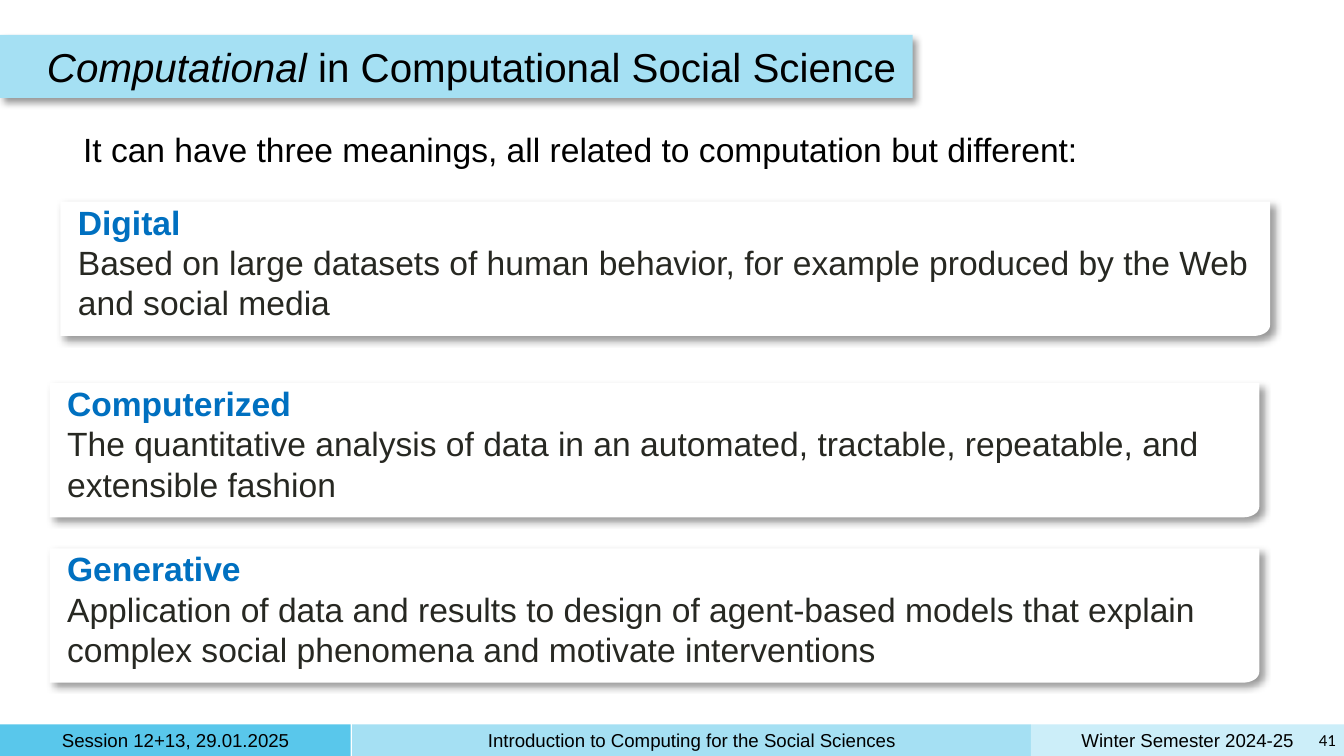
import math
from lxml import etree
from pptx import Presentation
from pptx.dml.color import RGBColor
from pptx.enum import shapes, text
from pptx.oxml.ns import qn
from pptx.util import Inches, Pt

ALIGN = text.PP_ALIGN
MIDDLE, TOP = text.MSO_ANCHOR.MIDDLE, text.MSO_ANCHOR.TOP


def style(shape, fill, shadow=False):
    """Fill a shape, drop its outline and optionally add a soft shadow."""
    shape.fill.solid()
    shape.fill.fore_color.rgb = RGBColor.from_string(fill)
    shape.line.fill.background()
    shape.shadow.inherit = False
    if shadow:
        effects = shape._element.spPr.find(qn("a:effectLst"))
        outer = etree.SubElement(effects, qn("a:outerShdw"), blurRad=str(Pt(4)),
                                 dist=str(Pt(3)), dir="2700000", algn="tl", rotWithShape="0")
        black = etree.SubElement(outer, qn("a:srgbClr"), val="000000")
        etree.SubElement(black, qn("a:alpha"), val="40000")


def write(shape, paragraphs, insets, anchor=MIDDLE, align=ALIGN.LEFT):
    """Write paragraphs, each a list of (words, font values, colour) runs."""
    frame = shape.text_frame
    left, top, right, bottom = (Inches(inset) for inset in insets)
    values = {"word_wrap": True, "vertical_anchor": anchor, "margin_left": left,
              "margin_top": top, "margin_right": right, "margin_bottom": bottom}
    for key, value in values.items():
        setattr(frame, key, value)
    for number, runs in enumerate(paragraphs):
        paragraph = frame.add_paragraph() if number else frame.paragraphs[0]
        paragraph.alignment = align
        for words, font, color in runs:
            run = paragraph.add_run()
            run.text = words
            for key, value in ({"name": "Arial"} | font).items():
                setattr(run.font, key, value)
            run.font.color.rgb = RGBColor.from_string(color)


deck = Presentation()
deck.slide_width = Inches(10)
deck.slide_height = deck.slide_width * 9 // 16
slide = deck.slides.add_slide(deck.slide_layouts[6])
BLACK = "000000"

# Footer bands
footer = [
    (0, 2.61, "59C7EB", "Session 12+13, 29.01.2025"),
    (2.62, 5.05, "A5E0F3", "Introduction to Computing for the Social Sciences"),
    (7.67, 2.33, "CCEEF9", "Winter Semester 2024-25"),
]
for left, width, color, words in footer:
    band = slide.shapes.add_shape(shapes.MSO_SHAPE.RECTANGLE, Inches(left), Inches(5.39),
                                  Inches(width), Inches(0.24))
    style(band, color)
    write(band, [[(words, {"size": Pt(10)}, BLACK)]], [0.05] * 4, align=ALIGN.CENTER)

# Page number
page = slide.shapes.add_textbox(Inches(9.75), Inches(5.38), Inches(0.24), Inches(0.25))
write(page, [[("41", {"size": Pt(9), "name": "Calibri"}, BLACK)]], [0.05] * 4,
      align=ALIGN.RIGHT)

# Title on its band
band = slide.shapes.add_shape(shapes.MSO_SHAPE.RECTANGLE, 0, Inches(0.26),
                              Inches(6.79), Inches(0.47))
style(band, "A5E0F3", shadow=True)
title = slide.shapes.add_textbox(Inches(0.3), Inches(0.26), Inches(8.7), Inches(0.47))
write(title, [[("Computational ", {"size": Pt(21.6), "italic": True}, BLACK),
               ("in Computational Social Science", {"size": Pt(21.6)}, BLACK)]],
      [0.05] * 4)

# Cards with a rounded lower right corner
meanings = [
    (0.37, 2.85, "Computerized", "The quantitative analysis of data in an automated, "
     "tractable, repeatable, and extensible fashion"),
    (0.45, 1.5, "Digital", "Based on large datasets of human behavior, for example "
     "produced by the Web and social media"),
    (0.37, 4.08, "Generative", "Application of data and results to design of agent-based "
     "models that explain complex social phenomena and motivate interventions"),
]
card_width, card_height, radius_x, radius_y = 9, 1, 0.12, 0.08
corner = [(card_width - radius_x * (1 - math.cos(math.radians(angle))),
           card_height - radius_y * (1 - math.sin(math.radians(angle))))
          for angle in range(0, 91, 10)]
outline = [(Inches(x), Inches(y)) for x, y in [(card_width, 0), *corner, (0, card_height)]]
for left, top, term, meaning in meanings:
    builder = slide.shapes.build_freeform(0, 0)
    builder.add_line_segments(outline, close=True)
    card = builder.convert_to_shape(Inches(left), Inches(top))
    style(card, "FFFFFF", shadow=True)
    label = slide.shapes.add_textbox(Inches(left + 0.08), Inches(top - 0.05),
                                     Inches(8.84), Inches(1.01))
    write(label, [[(term, {"size": Pt(18), "bold": True}, "0070C0")],
                  [(meaning, {"size": Pt(18)}, "272822")]], [0.05] * 4, TOP)

# Lead sentence
lead = slide.shapes.add_textbox(Inches(0.52), Inches(0.86), Inches(9.07), Inches(0.5))
write(lead, [[("It can have three meanings, all related to computation but different:",
               {"size": Pt(18)}, BLACK)]], [0.1] * 4, TOP)

deck.save("out.pptx")
